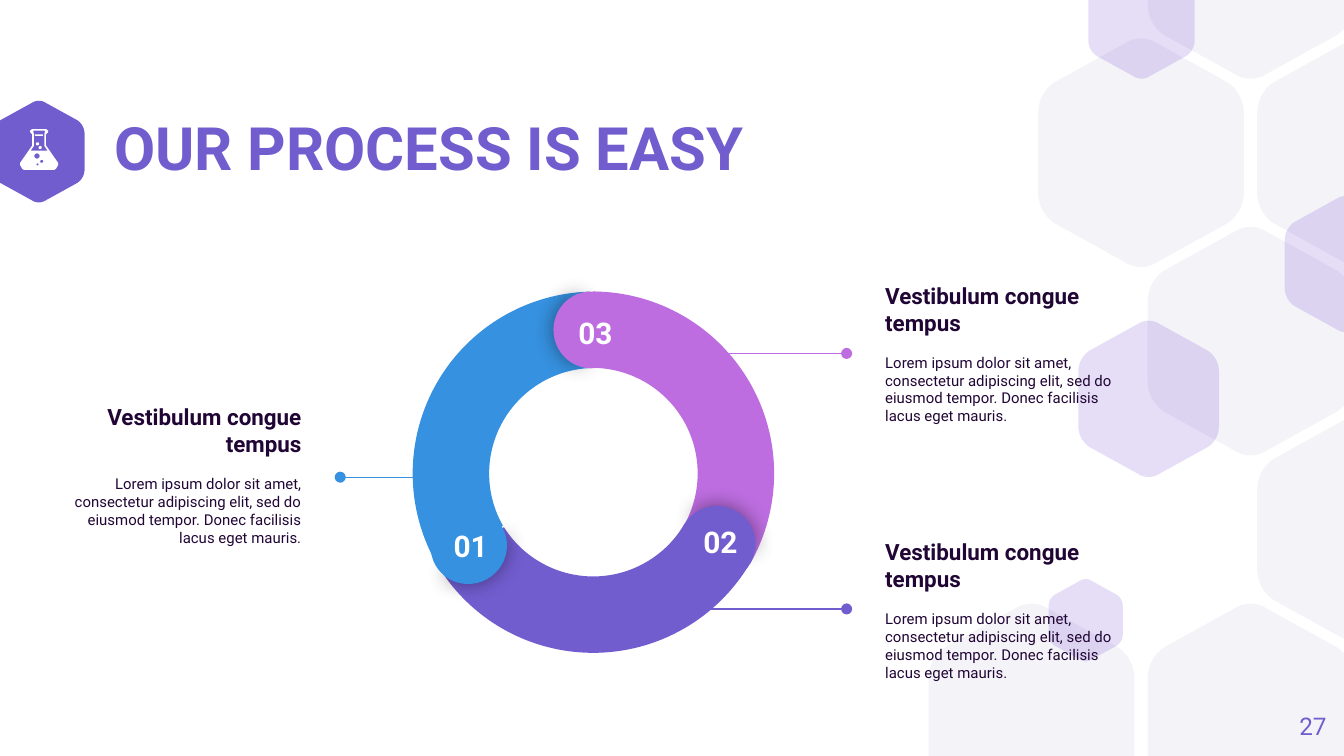
import math

import pptx
import pptx.util
import pptx.dml.color
import pptx.enum.shapes
import pptx.enum.text
import pptx.oxml.ns
from lxml import etree

Cm, Pt = pptx.util.Cm, pptx.util.Pt
RGB = pptx.dml.color.RGBColor
SHAPE = pptx.enum.shapes.MSO_SHAPE
ALIGN = pptx.enum.text.PP_ALIGN
ANCHOR = pptx.enum.text.MSO_ANCHOR
qn = pptx.oxml.ns.qn

PURPLE = RGB(0x72, 0x5D, 0xCF)
PINK = RGB(0xBD, 0x6D, 0xE0)
BLUE = RGB(0x36, 0x91, 0xE0)
VIOLET = RGB(0x53, 0x22, 0xC9)
PALE = RGB(0xF4, 0xF3, 0xF8)
INK = RGB(0x21, 0x06, 0x35)
WHITE = RGB(0xFF, 0xFF, 0xFF)

# All positions and sizes are in centimetres.
WIDTH, HEIGHT = 25.4, 14.29
HEADING = "Vestibulum congue tempus"
BODY = ("Lorem ipsum dolor sit amet, consectetur adipiscing elit, sed do "
        "eiusmod tempor. Donec facilisis lacus eget mauris.")

# Text box left, top, alignment; line start x, end x, y; colour
NOTES = [
    (0.69, 7.37, ALIGN.RIGHT, 8.0, 6.43, 9.02, BLUE),
    (16.48, 5.08, ALIGN.LEFT, 12.8, 16.0, 6.68, PINK),
    (16.48, 9.93, ALIGN.LEFT, 12.8, 16.0, 11.51, PURPLE),
]
# Left, top, rotation, start, end, thickness, colour
ARCS = [
    (7.75, 5.51, 60, 197.82, 0.21, PINK),
    (7.77, 5.46, 180, 196.63, 0.21, PURPLE),
    (7.8, 5.51, 300, 197.03, 0.21, BLUE),
]
# Cap left, top, rotation, colour; number, its left and top
CAPS = [
    (8.15, 9.6, 240, BLUE, "01", 8.26, 9.73),
    (10.46, 5.51, 0, PINK, "03", 10.62, 5.69),
    (12.85, 9.55, 120, PURPLE, "02", 12.98, 9.65),
]
LATTICE = [(0, 3), (2, 3), (3, 0), (2, -1), (2, 1), (1, 0), (3, 2)]  # column, row
TINTED_HEXAGONS = [(24.28, 3.71, 2.32), (19.82, 10.95, 1.4),
                   (20.57, -0.74, 2.01), (20.38, 6.07, 2.66)]  # left, top, width

# Corner curves of a hexagon, as fractions of its width and height
SIDE_CORNER = [(1, 0.33), (1, 0.27), (0.97, 0.22), (0.92, 0.19)]
TOP_CORNER = [(0.58, 0.02), (0.53, -0.01), (0.47, -0.01), (0.42, 0.02)]

# Right half of the flask: distance from its axis, distance from its top
FLASK_X, FLASK_Y = 0.74, 2.44
FLASK_OUTER = [(0.13, 0), (0.17, 0.03), (0.17, 0.06), (0.13, 0.1), (0.13, 0.31),
               (0.36, 0.64), (0.36, 0.68), (0.32, 0.75), (0.29, 0.77)]
FLASK_INNER = [(0.11, 0.03), (0.11, 0.05), (0.1, 0.09), (0.1, 0.32), (0.16, 0.41)]
BUBBLES = [(0.7, 2.95, 0.05), (0.79, 3.05, 0.03), (0.71, 3.11, 0.02)]  # x, y, radius
DROPS = [(0.76, 2.79, 0.03), (0.71, 2.72, 0.03)]

prs = pptx.Presentation()
prs.slide_width, prs.slide_height = Cm(WIDTH), Cm(HEIGHT)
slide = prs.slides.add_slide(prs.slide_layouts[6])
shapes = slide.shapes


def paint(sp, color, alpha=None):
    sp.shadow.inherit = False
    sp.line.fill.background()
    sp.fill.solid()
    sp.fill.fore_color.rgb = color
    if alpha:
        clr = sp._element.spPr.find(qn("a:solidFill"))[0]
        etree.SubElement(clr, qn("a:alpha"), val=str(alpha * 1000))
    return sp


def add_preset(kind, x, y, w, h, color, rotation=0, adjust=()):
    sp = paint(shapes.add_shape(kind, Cm(x), Cm(y), Cm(w), Cm(h)), color)
    sp.rotation = rotation
    for i, value in enumerate(adjust):
        sp.adjustments[i] = value
    return sp


def add_outline(contours, color, alpha=None):
    """Fill closed contours; inner contours become holes."""
    contours = [[(Cm(x), Cm(y)) for x, y in c] for c in contours]
    builder = shapes.build_freeform(*contours[0][0])
    builder.add_line_segments(contours[0][1:])
    for c in contours[1:]:
        builder.move_to(*c[0])
        builder.add_line_segments(c[1:])
    return paint(builder.convert_to_shape(), color, alpha)


def bezier(points, steps=10):
    weights = (1, 3, 3, 1)
    curve = []
    for n in range(steps + 1):
        t = n / steps
        b = [w * t ** i * (1 - t) ** (3 - i) for i, w in enumerate(weights)]
        curve.append(tuple(sum(k * p[axis] for k, p in zip(b, points))
                           for axis in (0, 1)))
    return curve


def add_hexagon(x, y, w, color, alpha=None):
    """Rounded hexagon, cut at the top and bottom edges of the slide."""
    side = bezier(SIDE_CORNER)
    upper = side + bezier(TOP_CORNER) + [(1 - u, v) for u, v in reversed(side)]
    unit = upper + [(1 - u, 1 - v) for u, v in upper]
    h = w * 1.105
    add_outline([[(x + u * w, min(max(y + v * h, 0), HEIGHT)) for u, v in unit]],
                color, alpha)


def mirrored(half):
    return ([(FLASK_X + dx, FLASK_Y + dy) for dx, dy in half]
            + [(FLASK_X - dx, FLASK_Y + dy) for dx, dy in reversed(half)])


def circle(x, y, radius, steps=16):
    angles = [2 * math.pi * n / steps for n in range(steps)]
    return [(x + radius * math.cos(a), y + radius * math.sin(a)) for a in angles]


def add_text(x, y, w, h, *paragraphs, color=INK, align=ALIGN.LEFT,
             anchor=ANCHOR.MIDDLE, inset=0, gap=0, spacing=None):
    """Each paragraph is (text, size, bold); gap is the space between them."""
    tf = shapes.add_textbox(Cm(x), Cm(y), Cm(w), Cm(h)).text_frame
    tf.word_wrap = True
    tf.vertical_anchor = anchor
    tf.margin_left = tf.margin_right = tf.margin_top = tf.margin_bottom = Cm(inset)
    for i, (text, size, bold) in enumerate(paragraphs):
        p = tf.add_paragraph() if i else tf.paragraphs[0]
        p.alignment = align
        if i:
            p.space_before = Pt(gap)
        if spacing:
            p.line_spacing = spacing
        r = p.add_run()
        r.text = text
        r.font.name, r.font.size, r.font.bold = "Roboto", Pt(size), bold
        r.font.color.rgb = color


def add_leader(x1, x2, y, color):
    line = shapes.add_connector(pptx.enum.shapes.MSO_CONNECTOR.STRAIGHT,
                                Cm(x1), Cm(y), Cm(x2), Cm(y))
    line.line.color.rgb = color
    line.line.width = Pt(0.75)
    etree.SubElement(line.line._get_or_add_ln(), qn("a:tailEnd"), type="oval")
    etree.SubElement(line._element.spPr, qn("a:effectLst"))


def add_glow_shadow(sp):
    effects = sp._element.spPr.find(qn("a:effectLst"))
    shadow = etree.SubElement(effects, qn("a:outerShdw"), blurRad=str(Pt(11.2)),
                              dist="0", dir="0", algn="ctr", rotWithShape="0")
    black = etree.SubElement(shadow, qn("a:srgbClr"), val="000000")
    etree.SubElement(black, qn("a:alpha"), val="43000")


# Background and title
add_hexagon(-0.13, 1.91, 1.73, PURPLE)
for col, row in LATTICE:
    add_hexagon(17.55 + 2.07 * col, 0.74 + 3.56 * row, 3.89, PALE)
for x, y, w in TINTED_HEXAGONS:
    add_hexagon(x, y, w, VIOLET, alpha=15)
add_text(2.16, 2.31, 16.69, 1.09, ("OUR PROCESS IS EASY", 32, True),
         color=PURPLE, spacing=0.9)
add_text(23.55, 13.18, 1.52, 1.09, ("27", 13, False), color=PURPLE, align=ALIGN.RIGHT)

# Flask icon
add_outline([mirrored(FLASK_OUTER), mirrored(FLASK_INNER)]
            + [circle(*b) for b in BUBBLES], WHITE)
for x, y, radius in DROPS:
    add_preset(SHAPE.OVAL, x - radius, y - radius, 2 * radius, 2 * radius, WHITE)
add_preset(SHAPE.ROUNDED_RECTANGLE, 0.66, 2.54, 0.15, 0.03, WHITE)

# Notes and ring
for x, y, align, x1, x2, line_y, color in NOTES:
    add_text(x, y, 5.26, 3.2, (HEADING, 12, True), (BODY, 8, False),
             align=align, inset=0.25, gap=9.4)
    add_leader(x1, x2, line_y, color)
for x, y, rotation, end, thickness, color in ARCS:
    add_preset(SHAPE.BLOCK_ARC, x, y, 6.88, 6.88, color, rotation,
               (126.23, end, thickness))
for x, y, rotation, color, *_ in CAPS:
    add_glow_shadow(add_preset(SHAPE.PIE, x, y, 1.42, 1.45, color,
                               rotation + 0.7, (61.9, 149.96)))
    add_preset(SHAPE.PIE, x, y, 1.42, 1.45, color, (rotation + 180) % 360,
               (40.28, 171.84))
for *_, number, x, y in CAPS:
    add_text(x, y, 1.27, 0.66, (number, 16, True), color=WHITE,
             align=ALIGN.CENTER, anchor=ANCHOR.TOP, inset=0.25)

prs.save("out.pptx")
